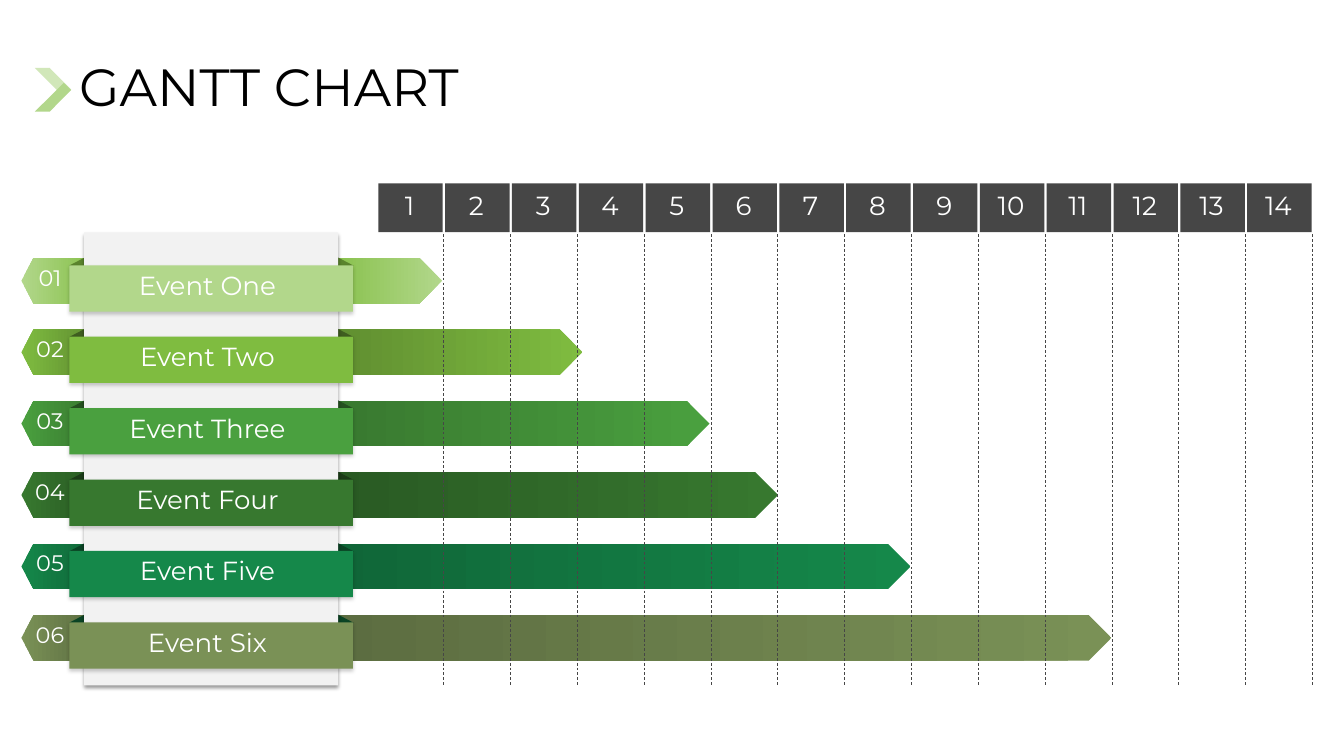
from lxml import etree
from pptx import Presentation
from pptx.dml.color import RGBColor
from pptx.enum import dml, shapes as kinds, text
from pptx.oxml import ns
from pptx.util import Cm, Pt

FONT = "Montserrat"
WHITE = RGBColor(0xFF, 0xFF, 0xFF)
BLACK = RGBColor(0x00, 0x00, 0x00)
CHARCOAL = RGBColor(0x46, 0x46, 0x46)
PANEL_GREY = RGBColor(0xF2, 0xF2, 0xF2)
CHEVRON_PALE = RGBColor(0xD1, 0xE7, 0xB9)
CHEVRON_GREEN = RGBColor(0xB2, 0xD7, 0x8B)

EVENTS = [
    ("Event One", 4.29, RGBColor(0xB2, 0xD7, 0x8B), RGBColor(0x86, 0xC0, 0x49), RGBColor(0x5A, 0x84, 0x2D)),
    ("Event Two", 9.6, RGBColor(0x7F, 0xBC, 0x40), RGBColor(0x5F, 0x8D, 0x30), RGBColor(0x3F, 0x5E, 0x20)),
    ("Event Three", 14.4, RGBColor(0x4A, 0xA0, 0x3F), RGBColor(0x38, 0x78, 0x2F), RGBColor(0x25, 0x50, 0x20)),
    ("Event Four", 16.99, RGBColor(0x37, 0x78, 0x2F), RGBColor(0x29, 0x5A, 0x23), RGBColor(0x1C, 0x3C, 0x18)),
    ("Event Five", 22, RGBColor(0x15, 0x88, 0x4A), RGBColor(0x10, 0x66, 0x38), RGBColor(0x0B, 0x44, 0x25)),
    ("Event Six", 29.59, RGBColor(0x7A, 0x91, 0x56), RGBColor(0x5C, 0x6D, 0x41), RGBColor(0x0B, 0x44, 0x25)),
]
PERIODS = 14
ROW_PITCH = 2.7
BAR_HEIGHT = 1.73


def paint(shape, color, shade=None, angle=0):
    shape.shadow.inherit = False
    shape.line.fill.background()
    if shade is None:
        shape.fill.solid()
        shape.fill.fore_color.rgb = color
        return
    shape.fill.gradient()
    shape.fill.gradient_angle = angle
    for stop, stop_color, position in zip(shape.fill.gradient_stops, (color, shade), (0, 1)):
        stop.color.rgb = stop_color
        stop.position = position


def add_block(shapes, kind, left, top, width, height):
    return shapes.add_shape(kind, Cm(left), Cm(top), Cm(width), Cm(height))


def add_polygon(shapes, left, top, points):
    corners = [(Cm(left + x), Cm(top + y)) for x, y in points]
    builder = shapes.build_freeform(*corners[0])
    builder.add_line_segments(corners[1:], close=True)
    return builder.convert_to_shape()


def add_caption(shapes, wording, center, top, width, height, size):
    caption = shapes.add_textbox(Cm(center - width / 2), Cm(top), Cm(width), Cm(height))
    frame = caption.text_frame
    frame.word_wrap = False
    frame.auto_size = text.MSO_AUTO_SIZE.SHAPE_TO_FIT_TEXT
    paragraph = frame.paragraphs[0]
    paragraph.text = wording
    paragraph.alignment = text.PP_ALIGN.CENTER
    paragraph.font.name = FONT
    paragraph.font.size = Pt(size)
    paragraph.font.color.rgb = WHITE


def drop_shadow(shape, opacity, distance):
    effects = shape._element.spPr.find(ns.qn("a:effectLst"))
    shadow = etree.SubElement(effects, ns.qn("a:outerShdw"), blurRad=str(Pt(4)),
                              dist=str(Pt(distance)), dir="5400000", algn="t", rotWithShape="0")
    black = etree.SubElement(shadow, ns.qn("a:srgbClr"), val="000000")
    etree.SubElement(black, ns.qn("a:alpha"), val=str(opacity * 1000))


def place_title(slide, left, top, width, height):
    title = slide.shapes.title
    title.left, title.top, title.width, title.height = Cm(left), Cm(top), Cm(width), Cm(height)
    title.text_frame.vertical_anchor = text.MSO_ANCHOR.MIDDLE
    heading = title.text_frame.paragraphs[0]
    heading.text = "GANTT CHART"
    heading.alignment = text.PP_ALIGN.LEFT
    heading.line_spacing = 0.9
    heading.font.name = FONT
    heading.font.size = Pt(56)
    heading.font.color.rgb = BLACK


def draw_chevron(shapes, left, top, height):
    chevron = shapes.add_group_shape().shapes
    upper = [(0, 0), (1.09, 1.09), (1.37, 0.82), (0.56, 0)]
    lower = [(x, height - y) for x, y in upper]
    for arm, color in ((upper, CHEVRON_PALE), (lower, CHEVRON_GREEN)):
        paint(add_polygon(chevron, left, top, arm), color)


def draw_number_tags(shapes, left, top, width):
    outline = [(0, BAR_HEIGHT / 2), (0.46, 0), (width, 0), (width, BAR_HEIGHT), (0.46, BAR_HEIGHT)]
    for row, (_, _, color, shade, _) in enumerate(EVENTS):
        y = top + row * ROW_PITCH
        tag = shapes.add_group_shape().shapes
        paint(add_polygon(tag, left, y, outline), color, shade)
        add_caption(tag, f"{row + 1:02d}", left + 1.08, y + 0.1, 1.75, 1.27, 24)


def draw_bars(shapes, left, top, fold_left, fold_right):
    fold = [(0, 0), (1.19, 0.62), (0.66, 1.4), (0, 0.91)]
    mirrored = [(-x, y) for x, y in fold]
    for row, (_, length, color, shade, fold_color) in enumerate(EVENTS):
        y = top + row * ROW_PITCH
        bar = add_block(shapes, kinds.MSO_SHAPE.PENTAGON, left, y, length, BAR_HEIGHT)
        paint(bar, color, shade, 180)
        paint(add_polygon(shapes, fold_right, y - 0.33, fold), fold_color)
        paint(add_polygon(shapes, fold_left, y - 0.33, mirrored), fold_color)


def draw_event_panel(shapes, left, top, width, height):
    panel = add_block(shapes, kinds.MSO_SHAPE.RECTANGLE, left, top, width, height)
    paint(panel, PANEL_GREY)
    drop_shadow(panel, 40, 3)
    overhang = 0.56
    for row, (label, _, color, _, _) in enumerate(EVENTS):
        y = top + 1.24 + row * ROW_PITCH
        banner = add_block(shapes, kinds.MSO_SHAPE.RECTANGLE,
                           left - overhang, y, width + 2 * overhang, 1.75)
        paint(banner, color)
        drop_shadow(banner, 20, 2)
        add_caption(shapes, label, left + width / 2 - 0.14, y + 0.02, 7.2, 1.45, 28)


def draw_time_scale(shapes, left, top, width, height, grid_height):
    gap = 0.09
    pitch = (width + gap) / PERIODS
    cell_width = pitch - gap
    for period in range(PERIODS):
        x = left + period * pitch
        header = shapes.add_group_shape().shapes
        cell = add_block(header, kinds.MSO_SHAPE.RECTANGLE, x, top, cell_width, height)
        paint(cell, CHARCOAL)
        number = str(period + 1)
        add_caption(header, number, x + cell_width / 2 - 0.04, top + 0.1,
                    0.48 + 0.74 * len(number), 1.45, 28)

        line_x, line_top = Cm(x + cell_width + 0.03), top + height + 0.08
        grid_line = shapes.add_connector(kinds.MSO_CONNECTOR.STRAIGHT, line_x, Cm(line_top),
                                         line_x, Cm(line_top + grid_height))
        grid_line.line.color.rgb = CHARCOAL
        grid_line.line.width = Pt(0.75)
        grid_line.line.dash_style = dml.MSO_LINE.DASH
        etree.SubElement(grid_line._element.spPr, ns.qn("a:effectLst"))


def main():
    deck = Presentation()
    deck.slide_width, deck.slide_height = Cm(50.8), Cm(28.58)
    slide = deck.slides.add_slide(deck.slide_layouts[5])
    shapes = slide.shapes
    draw_chevron(shapes, 1.32, 2.57, 1.65)
    place_title(slide, 2.74, 1.52, 43.82, 3.73)
    draw_number_tags(shapes, 0.81, 9.75, 2.74)
    draw_bars(shapes, 12.42, 9.75, 3.81, 12.17)
    draw_event_panel(shapes, 3.18, 8.79, 9.6, 17.12)
    draw_time_scale(shapes, 14.3, 6.93, 35.28, 1.85, 17.1)
    deck.save("out.pptx")


if __name__ == "__main__":
    main()
